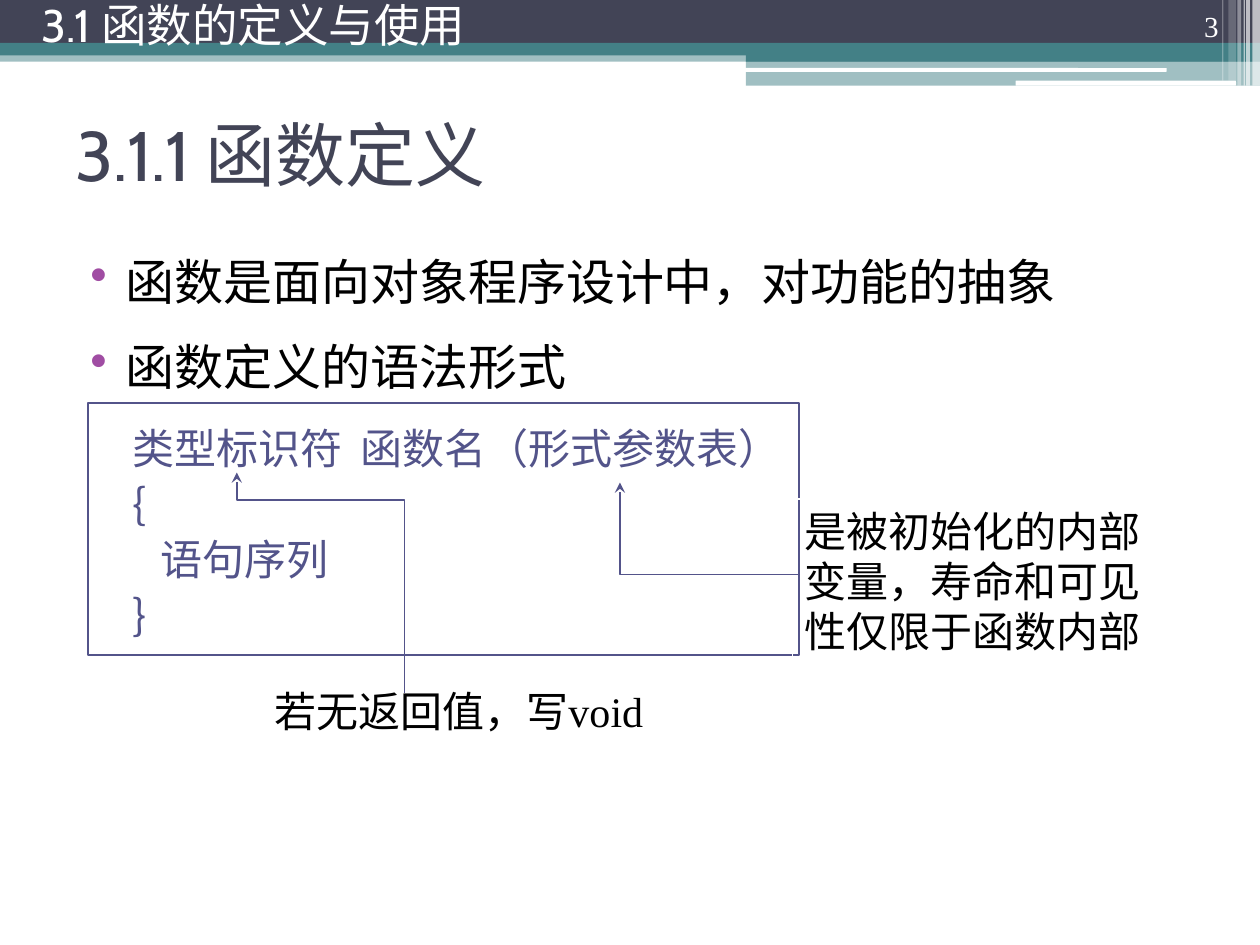
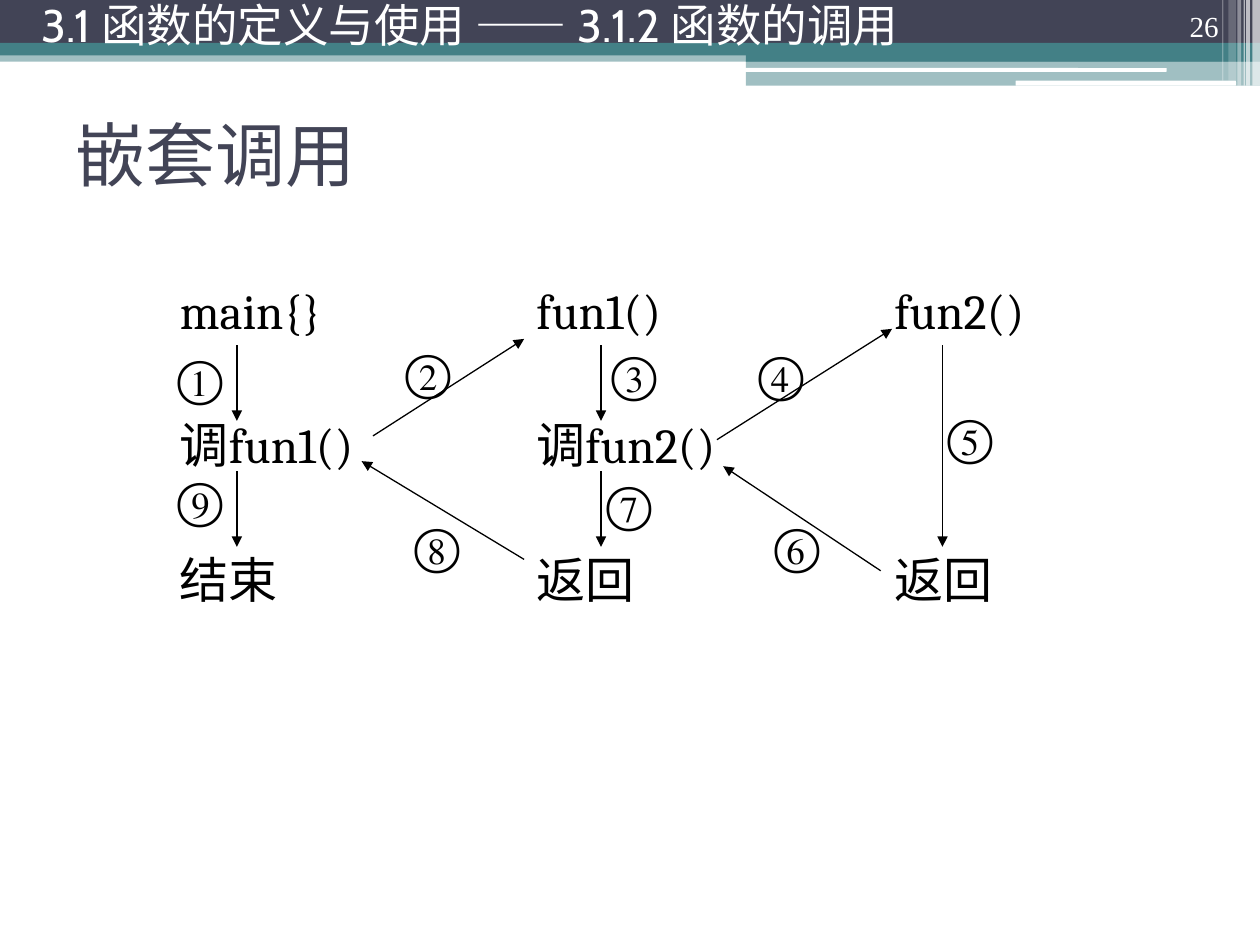
import pptx
import pptx.util
import pptx.dml.color
import pptx.enum.text
import pptx.enum.shapes
import pptx.oxml
import pptx.oxml.ns
from lxml import etree

Inches = pptx.util.Inches
Pt = pptx.util.Pt
Align = pptx.enum.text.PP_ALIGN
Anchor = pptx.enum.text.MSO_ANCHOR
Shape = pptx.enum.shapes.MSO_SHAPE
qn = pptx.oxml.ns.qn

theme = {
    "dark": "424456", "teal": "438086", "white": "FFFFFF", "black": "000000",
    "code": "53548A", "dot": "A04DA3",
    "head": "Cabin", "body": "Noto Sans CJK SC", "serif": "Times New Roman", "call": "Cambria",
    "title": 40, "band": 26, "text": 28, "note": 24, "page": 16.6,
}


def write(para, text, size, font, color):
    run = para.add_run()
    run.text = text
    run.font.size = Pt(theme[size])
    run.font.name = theme[font]
    run.font.color.rgb = pptx.dml.color.RGBColor.from_string(theme[color])
    east = etree.SubElement(run.font._element, qn("a:ea"))
    east.set("typeface", theme["body"])


def style(line, color, width, end=None):
    line.color.rgb = pptx.dml.color.RGBColor.from_string(theme[color])
    line.width = Pt(width)
    if end:
        tag, kind = end
        etree.SubElement(line._get_or_add_ln(), qn("a:" + tag)).set("type", kind)


deck = pptx.Presentation()
deck.slide_width = Inches(10)
deck.slide_height = Inches(7.5)
plain = deck.slide_layouts[5]

heads = [
    ("3.1.1 函数定义", "3", "3.1 函数的定义与使用", 5.7),
    ("嵌套调用", "26", "3.1 函数的定义与使用 —— 3.1.2 函数的调用", 8.83),
]
for title, page, band, wide in heads:
    slide = deck.slides.add_slide(plain)
    name = slide.shapes.title
    name.left, name.top, name.width, name.height = map(Inches, (0.5, 0.63, 9, 1.17))
    name.text_frame.vertical_anchor = Anchor.MIDDLE
    para = name.text_frame.paragraphs[0]
    para.alignment = Align.LEFT
    write(para, title, "title", "head", "dark")

    for text, left, width, high, anchor, side, space, size, font in [
        (page, 8.94, 0.83, 0.4, Anchor.BOTTOM, Align.RIGHT, 0.9, "page", "serif"),
        (band, 0.23, wide, 0.47, Anchor.MIDDLE, Align.LEFT, 0.8, "band", "head"),
    ]:
        box = slide.shapes.add_textbox(Inches(left), 0, Inches(width), Inches(high))
        box.text_frame.word_wrap = True
        box.text_frame.vertical_anchor = anchor
        para = box.text_frame.paragraphs[0]
        para.alignment = side
        para.line_spacing = space
        write(para, text, size, font, "white")

first, second = deck.slides

bands = [
    (0, 0.4, 10, 0.09, "teal", 50),
    (0, 0, 10, 0.34, "dark", 100),
    (0, 0.34, 10, 0.1, "teal", 100),
    (5.92, 0.39, 4.08, 0.1, "teal", 100),
    (5.92, 0.48, 4.08, 0.2, "teal", 50),
    (5.91, 0.54, 3.35, 0.03, "white", 100),
    (8.06, 0.64, 1.75, 0.04, "white", 100),
    (9.94, 0, 0.06, 0.68, "white", 65),
    (9.89, 0, 0.03, 0.68, "white", 65),
    (9.87, 0, 0.01, 0.68, "white", 60),
    (9.82, 0, 0.03, 0.68, "white", 40),
    (9.75, 0, 0.06, 0.64, "white", 20),
    (9.7, 0, 0.01, 0.64, "white", 30),
]
for left, top, width, high, color, alpha in bands:
    kind = Shape.ROUNDED_RECTANGLE if color == "white" and alpha == 100 else Shape.RECTANGLE
    bar = first.shapes.add_shape(kind, *map(Inches, (left, top, width, high)))
    bar.shadow.inherit = False
    bar.line.fill.background()
    bar.fill.solid()
    bar.fill.fore_color.rgb = pptx.dml.color.RGBColor.from_string(theme[color])
    if alpha < 100:
        tint = bar.fill._xPr.find(".//" + qn("a:srgbClr"))
        etree.SubElement(tint, qn("a:alpha")).set("val", str(alpha * 1000))
    plain.shapes.element.append(bar.element)

box = first.shapes.add_textbox(*map(Inches, (0.5, 1.95, 9, 5.24)))
frame = box.text_frame
frame.word_wrap = True
rows = [
    ("函数是面向对象程序设计中，对功能的抽象", True),
    ("函数定义的语法形式", True),
    ("类型标识符  函数名（形式参数表）", False),
    ("{", False),
    ("   语句序列", False),
    ("}", False),
]
for i, (text, point) in enumerate(rows):
    para = frame.add_paragraph() if i else frame.paragraphs[0]
    prop = para._p.get_or_add_pPr()
    prop.set("marL", str(Inches(0.4 if point else 0.72)))
    prop.set("indent", str(Inches(-0.28 if point else -0.27)))
    if i:
        para.space_before = Pt(3)
    if point:
        para.space_after = Pt(12)
        tint = etree.SubElement(prop, qn("a:buClr"))
        etree.SubElement(tint, qn("a:srgbClr")).set("val", theme["dot"])
        etree.SubElement(prop, qn("a:buChar")).set("char", "•")
        write(para, text, "text", "body", "black")
    else:
        para.level = 1
        etree.SubElement(prop, qn("a:buNone"))
        write(para, text, "note", "body", "code")

panes = [
    (0.7, 3.2, 5.64, 2, "code", 1, "", True),
    (6.29, 3.96, 3, 1.3, "white", 0.75, "是被初始化的内部变量，寿命和可见性仅限于函数内部", True),
    (2.08, 5.39, 3.21, 0.5, "white", 0.75, "若无返回值，写void", False),
]
paths = [
    [(4.92, 3.83), (4.92, 4.56), (6.34, 4.56)],
    [(1.88, 3.75), (1.88, 3.97), (3.21, 3.97), (3.21, 5.5)],
]
for i, (left, top, width, high, color, thick, text, wrap) in enumerate(panes):
    pane = first.shapes.add_shape(Shape.RECTANGLE, *map(Inches, (left, top, width, high)))
    pane.shadow.inherit = False
    pane.fill.background()
    style(pane.line, color, thick)
    if text:
        frame = pane.text_frame
        frame.word_wrap = wrap
        frame.vertical_anchor = Anchor.TOP
        frame.paragraphs[0].alignment = Align.LEFT
        write(frame.paragraphs[0], text, "note", "serif", "black")
    if i:
        dots = [(Inches(x), Inches(y)) for x, y in paths[i - 1]]
        pen = first.shapes.build_freeform(*dots[0])
        pen.add_line_segments(dots[1:], close=False)
        bend = pen.convert_to_shape()
        bend.shadow.inherit = False
        bend.fill.background()
        style(bend.line, "code", 1, ("headEnd", "stealth"))

calls = [
    (1.33, [("main{}", 0), ("调fun1()", 38), ("结束", 38)]),
    (4.16, [("fun1()", 0), ("调fun2()", 38), ("返回", 38)]),
    (7, [("fun2()", 0), ("返回", 115)]),
]
for left, steps in calls:
    box = second.shapes.add_textbox(*map(Inches, (left, 2.11, 1.83, 2.83)))
    frame = box.text_frame
    frame.word_wrap = True
    for i, (text, gap) in enumerate(steps):
        para = frame.add_paragraph() if i else frame.paragraphs[0]
        para.alignment = Align.JUSTIFY
        para.line_spacing = 1.15
        if gap:
            para.space_before = Pt(gap)
        write(para, text, "text", "call", "black")

lines = [
    (1.88, 2.74, 1.88, 3.34), (1.88, 3.74, 1.88, 4.34),
    (2.96, 3.46, 4.16, 2.69), (4.16, 4.44, 2.87, 3.66),
    (4.77, 2.74, 4.77, 3.34), (4.77, 3.74, 4.77, 4.34),
    (5.69, 3.49, 7.08, 2.61), (7.48, 2.74, 7.48, 4.34),
    (6.99, 4.53, 5.74, 3.7),
]
for ends in lines:
    arrow = second.shapes.add_connector(
        pptx.enum.shapes.MSO_CONNECTOR.STRAIGHT, *map(Inches, ends))
    style(arrow.line, "black", 0.75, ("tailEnd", "triangle"))
    etree.SubElement(arrow.element.spPr, qn("a:effectLst"))

marks = [
    ("①", 1.41, 2.76), ("②", 3.22, 2.71), ("③", 4.85, 2.73),
    ("④", 6.02, 2.73), ("⑤", 7.52, 3.23), ("⑥", 6.15, 4.09),
    ("⑦", 4.81, 3.76), ("⑧", 3.29, 4.09), ("⑨", 1.41, 3.73),
]
for text, left, top in marks:
    box = second.shapes.add_textbox(*map(Inches, (left, top, 0.35, 0.4)))
    frame = box.text_frame
    frame.word_wrap = True
    frame.margin_left = frame.margin_right = frame.margin_top = frame.margin_bottom = 0
    frame.paragraphs[0].alignment = Align.JUSTIFY
    write(frame.paragraphs[0], text, "text", "call", "black")

deck.save("out.pptx")
